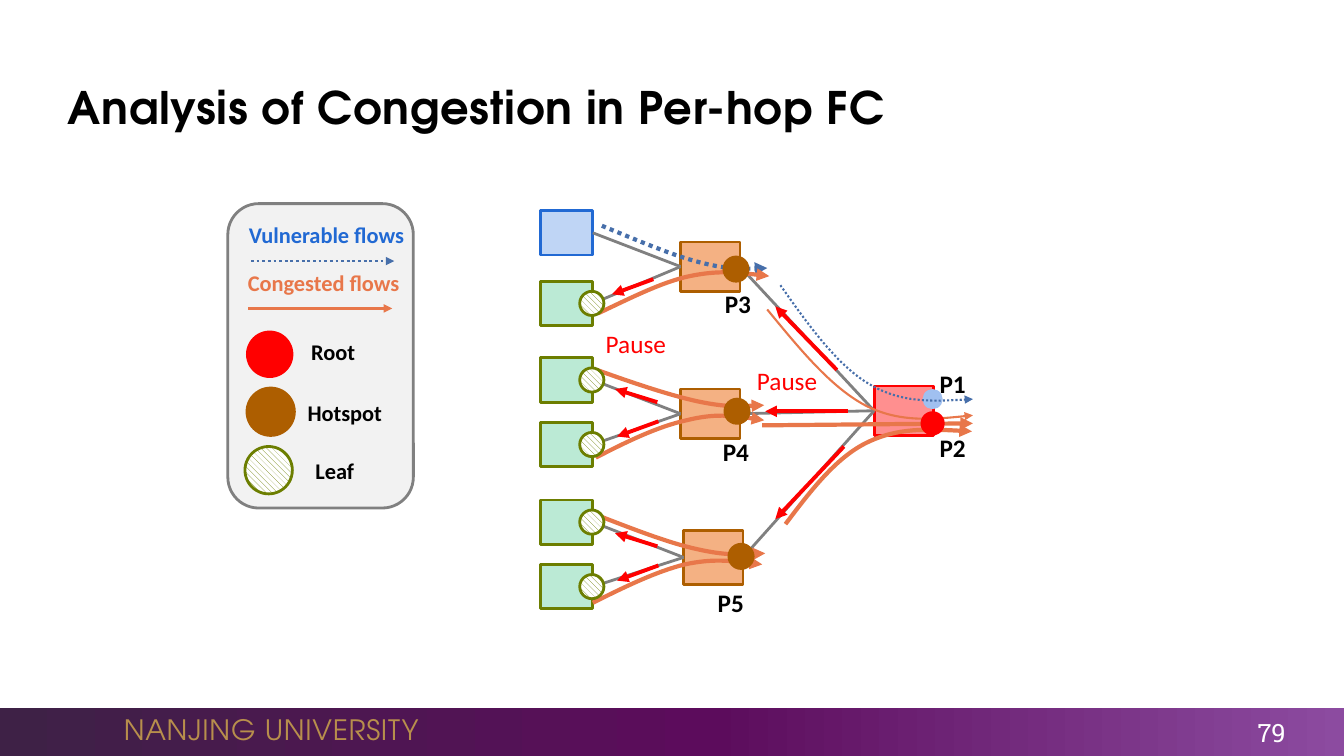
from copy import deepcopy
from lxml.etree import SubElement
from pptx import Presentation
from pptx.dml.color import RGBColor
from pptx.enum.dml import MSO_LINE, MSO_PATTERN
from pptx.enum.shapes import MSO_CONNECTOR, MSO_SHAPE
from pptx.enum.text import MSO_ANCHOR, MSO_AUTO_SIZE, PP_ALIGN
from pptx.oxml.ns import qn
from pptx.util import Inches, Pt

TITLE = "Analysis of Congestion in Per-hop FC"
BLACK, GRAY, RED, WHITE = "000000", "808080", "FF0000", "FFFFFF"
BLUE, FLOW_BLUE, ORANGE = "2169D3", "476FAA", "E8774A"
BROWN, OLIVE = "AD5E00", "6C7E00"
HATCH = MSO_PATTERN.WIDE_DOWNWARD_DIAGONAL
STRIPE = MSO_PATTERN.DARK_VERTICAL

FOOTER_STOPS = [(0, "3E2146"), (0.53, "5C0C5C"), (1, "8C4BA0")]
HOST_LEFT, HOST_TOPS = 5.36, [2.09, 2.79, 3.55, 4.19, 4.96, 5.6]
SWITCHES = [
    (6.75, 2.4, 0.59, 0.49),
    (6.75, 3.86, 0.59, 0.49),
    (6.78, 5.26, 0.59, 0.54),
]
ROOT = (8.67, 3.83, 0.59, 0.49)
HOTSPOT_DOTS = [(7.18, 2.55), (7.19, 3.96), (7.23, 5.4)]
DOT, LEGEND_DOT = 0.24, 0.47

CURVES = [
    (FLOW_BLUE, 1.5, True, [(7.74, 2.83), (8.02, 3.23), (8.31, 3.63), (8.62, 3.81),
                            (8.94, 4), (9.29, 3.98), (9.65, 3.96)]),
    (ORANGE, 1.5, False, [(7.61, 3.07), (7.93, 3.46), (8.24, 3.84), (8.58, 4.02),
                          (8.91, 4.19), (9.28, 4.16), (9.65, 4.12)]),
    (ORANGE, 3, False, [(7.79, 5.2), (8.04, 4.87), (8.29, 4.54), (8.6, 4.39),
                        (8.91, 4.24), (9.27, 4.26), (9.64, 4.28)]),
    (FLOW_BLUE, 3, True, [(5.97, 2.24), (6.31, 2.38), (6.66, 2.53), (6.93, 2.6),
                          (7.2, 2.67), (7.4, 2.67), (7.61, 2.66)]),
    (ORANGE, 3, False, [(5.93, 3.11), (6.25, 2.96), (6.56, 2.8), (6.84, 2.74),
                        (7.13, 2.68), (7.38, 2.71), (7.63, 2.74)]),
    (ORANGE, 3, False, [(5.92, 3.67), (6.28, 3.8), (6.64, 3.92), (6.91, 3.98),
                        (7.19, 4.04), (7.39, 4.03), (7.58, 4.02)]),
    (ORANGE, 3, False, [(5.91, 4.54), (6.22, 4.38), (6.53, 4.23), (6.81, 4.17),
                        (7.09, 4.1), (7.34, 4.13), (7.58, 4.17)]),
    (ORANGE, 3, False, [(5.92, 5.11), (6.28, 5.25), (6.64, 5.39), (6.92, 5.45),
                        (7.19, 5.51), (7.39, 5.5), (7.59, 5.49)]),
    (ORANGE, 3, False, [(5.88, 5.98), (6.2, 5.82), (6.51, 5.67), (6.79, 5.6),
                        (7.07, 5.54), (7.31, 5.57), (7.56, 5.6)]),
]
PAUSE_ARROWS = [
    (8.3, 3.67, 7.69, 3.04), (8.41, 4.08, 7.59, 4.08), (8.37, 4.43, 7.69, 5.15),
    (6.52, 3.99, 6.1, 3.86), (6.53, 4.18, 6.12, 4.33), (6.52, 5.42, 6.1, 5.29),
    (6.53, 5.61, 6.12, 5.76), (6.48, 2.77, 6.07, 2.92),
]
PORT_LABELS = [("P1", 9.22, 3.61), ("P2", 9.22, 4.24), ("P3", 7.09, 2.81),
               ("P4", 7.07, 4.28), ("P5", 7.02, 5.78)]
PAUSE_LABELS = [(7.41, 3.58), (5.91, 3.21)]
LEGEND_FLOWS = [
    ("Vulnerable flows", 2.37, 2.14, BLUE, (2.49, 2.59, 3.91, 2.59), FLOW_BLUE, True),
    ("Congested flows", 2.36, 2.62, ORANGE, (2.46, 3.06, 3.89, 3.06), ORANGE, False),
]
LEGEND_NODES = [
    ("Root", (2.59, 3.31, 1.43, 0.37), (2.44, 3.28), RED, None, None),
    ("Hotspot", (2.59, 3.91, 1.66, 0.37), (2.45, 3.85), BROWN, BROWN, STRIPE),
    ("Leaf", (2.49, 4.49, 1.66, 0.37), (2.43, 4.43), OLIVE, OLIVE, HATCH),
]


def color(value):
    return RGBColor.from_string(value)


def style_line(item, shade, width, dotted=False, arrow=False):
    item.line.color.rgb = color(shade)
    item.line.width = Pt(width)
    if dotted:
        item.line.dash_style = MSO_LINE.ROUND_DOT
    if arrow:
        SubElement(item.line._get_or_add_ln(), qn("a:tailEnd"), type="triangle")


def add_preset(kind, place, fill, outline=None, pattern=None):
    shape = slide.shapes.add_shape(kind, *map(Inches, place))
    shape.shadow.inherit = False
    if pattern:
        shape.fill.patterned()
        shape.fill.pattern = pattern
        shape.fill.fore_color.rgb = color(fill)
        shape.fill.back_color.rgb = color(WHITE)
    else:
        shape.fill.solid()
        shape.fill.fore_color.rgb = color(fill)
    if outline:
        style_line(shape, outline, 2)
    else:
        shape.line.fill.background()
    return shape


def add_dot(left, top, size, fill, outline=None, pattern=None):
    add_preset(MSO_SHAPE.OVAL, (left, top, size, size), fill, outline, pattern)


def add_line(ends, shade, width, dotted=False, arrow=False):
    line = slide.shapes.add_connector(MSO_CONNECTOR.STRAIGHT, *map(Inches, ends))
    style_line(line, shade, width, dotted, arrow)
    SubElement(line._element.spPr, qn("a:effectLst"))
    return line


def add_link(near, far):
    link = add_line((0, 0, 1, 1), GRAY, 2)
    link.begin_connect(near, 3)
    link.end_connect(far, 1)


def add_curve(points, shade, width, dotted):
    start, *rest = [(Inches(x), Inches(y)) for x, y in points]
    builder = slide.shapes.build_freeform(*start)
    builder.add_line_segments(rest, close=False)
    curve = builder.convert_to_shape()
    outline = curve._element.find(".//" + qn("a:path"))
    steps = outline.findall(qn("a:lnTo"))
    for first in range(0, len(steps), 3):
        bend = SubElement(outline, qn("a:cubicBezTo"))
        for step in steps[first:first + 3]:
            bend.append(step[0])
            outline.remove(step)
    curve.shadow.inherit = False
    curve.fill.background()
    style_line(curve, shade, width, dotted, arrow=True)


def write(box, text, size, font, shade, bold=False, align=PP_ALIGN.LEFT, spacing=0):
    para = box.text_frame.paragraphs[0]
    span = para.add_run()
    span.text = text
    para.alignment = align
    para.font.size = Pt(size)
    para.font.name = font
    para.font.bold = bold
    para.font.color.rgb = color(shade)
    if spacing:
        span._r.get_or_add_rPr().set("spc", str(spacing))


def add_text(place, text, size, shade, font="Calibri", wrap=True, middle=False, **style):
    box = slide.shapes.add_textbox(*map(Inches, place))
    frame = box.text_frame
    frame.word_wrap = wrap
    frame.auto_size = MSO_AUTO_SIZE.NONE if middle else MSO_AUTO_SIZE.SHAPE_TO_FIT_TEXT
    frame.vertical_anchor = MSO_ANCHOR.MIDDLE if middle else MSO_ANCHOR.TOP
    write(box, text, size, font, shade, **style)


deck = Presentation()
deck.slide_width, deck.slide_height = Inches(13.33), Inches(7.5)
slide = deck.slides.add_slide(deck.slide_layouts[5])

title = slide.shapes.title
title.left, title.top, title.width, title.height = map(Inches, (0.57, 0.67, 12, 0.77))
title.text_frame.vertical_anchor = MSO_ANCHOR.MIDDLE
title.text_frame.auto_size = MSO_AUTO_SIZE.NONE
write(title, TITLE, 32, "TeX Gyre Adventor", BLACK, bold=True, spacing=50)

footer = add_preset(MSO_SHAPE.RECTANGLE, (0, 7.02, 13.33, 0.48), WHITE)
footer.fill.gradient()
footer.fill.gradient_angle = 0
stop_list = footer._element.spPr.find(".//" + qn("a:gsLst"))
stop_list.insert(1, deepcopy(stop_list[0]))
for stop, (position, shade) in zip(footer.fill.gradient_stops, FOOTER_STOPS):
    stop.position = position
    stop.color.rgb = color(shade)
add_text((1.13, 7.02, 3.17, 0.44), "NANJING UNIVERSITY", 20, "B88F4C",
         "TeX Gyre Adventor", wrap=False, middle=True, spacing=50)
add_text((11.79, 7.09, 1.06, 0.35), "79", 18, WHITE, "Roboto Slab",
         middle=True, align=PP_ALIGN.RIGHT)

hosts = [add_preset(MSO_SHAPE.RECTANGLE, (HOST_LEFT, top, 0.52, 0.44),
                    "BBEAD5" if index else "BFD5F5", OLIVE if index else BLUE)
         for index, top in enumerate(HOST_TOPS)]
switches = [add_preset(MSO_SHAPE.RECTANGLE, place, "F4B183", BROWN) for place in SWITCHES]
root = add_preset(MSO_SHAPE.RECTANGLE, ROOT, "FF8F8F", RED)
for index, host in enumerate(hosts):
    add_link(host, switches[index // 2])
for switch in switches:
    add_link(switch, root)

add_dot(9.15, 3.86, 0.2, "A0C0F0")
for shade, width, dotted, points in CURVES:
    add_curve(points, shade, width, dotted)
add_line((7.56, 4.22, 9.65, 4.2), ORANGE, 3, arrow=True)
add_dot(9.13, 4.08, DOT, RED)
for left, top in HOTSPOT_DOTS:
    add_dot(left, top, DOT, BROWN, BROWN, STRIPE)
for top in HOST_TOPS[1:]:
    add_dot(5.75, top + 0.1, DOT, OLIVE, OLIVE, HATCH)
for ends in PAUSE_ARROWS:
    add_line(ends, RED, 2.75, arrow=True)
for text, left, top in PORT_LABELS:
    add_text((left, top, 0.89, 0.4), text, 18, BLACK, bold=True)
for left, top in PAUSE_LABELS:
    add_text((left, top, 0.8, 0.4), "Pause", 18, RED, wrap=False)

add_preset(MSO_SHAPE.ROUNDED_RECTANGLE, (2.26, 2.02, 1.84, 3.02), "F2F2F2", GRAY)
for text, left, top, shade, ends, stroke, dotted in LEGEND_FLOWS:
    add_text((left, top, 1.76, 0.37), text, 16, shade, bold=True)
    add_line(ends, stroke, 2, dotted, arrow=True)
for text, place, corner, fill, outline, pattern in LEGEND_NODES:
    add_dot(*corner, LEGEND_DOT, fill, outline, pattern)
    add_text(place, text, 16, BLACK, bold=True, align=PP_ALIGN.CENTER)

deck.save("out.pptx")
